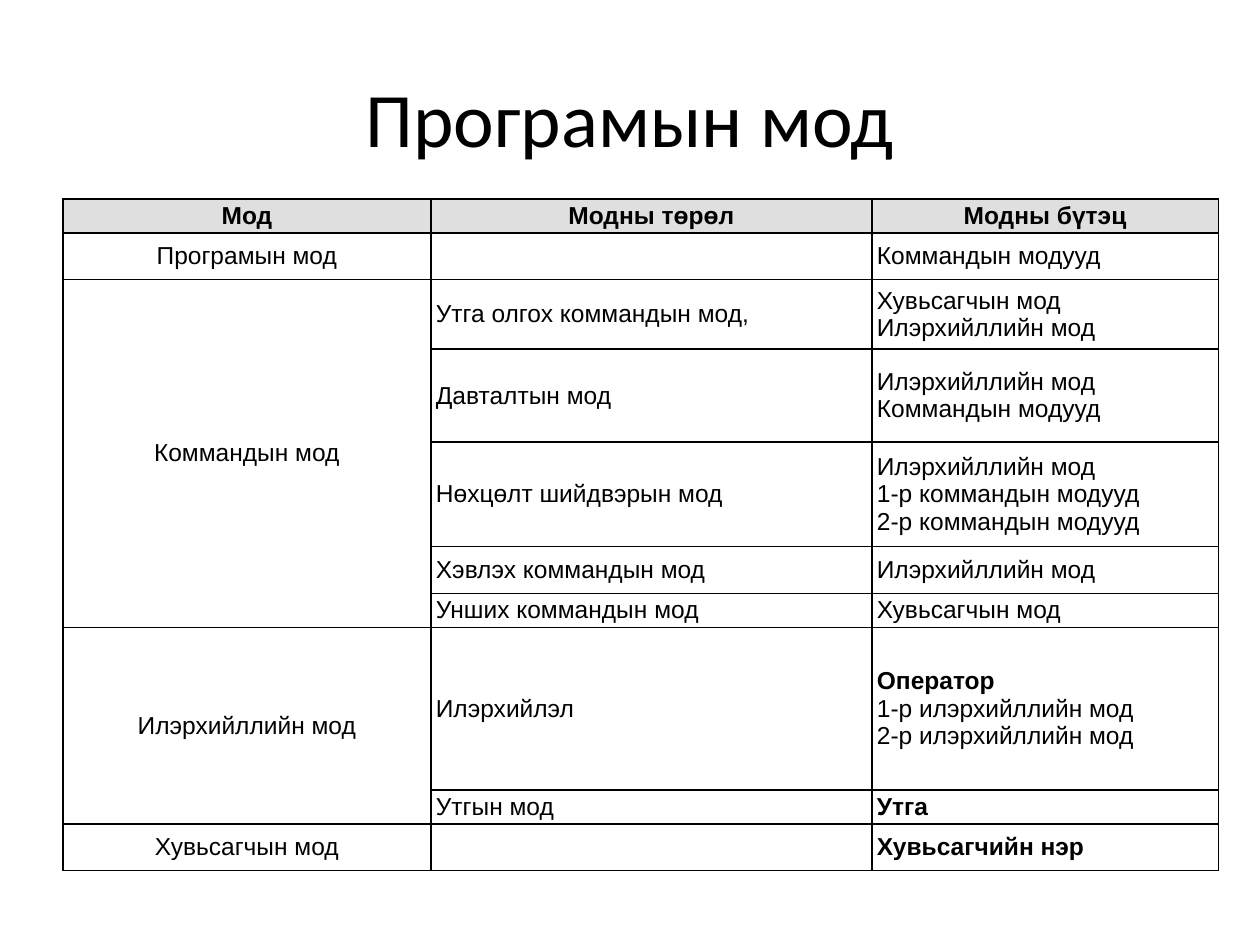
from lxml import etree
from pptx import Presentation
from pptx.dml.color import RGBColor
from pptx.enum import text
from pptx.oxml import ns
from pptx.util import Inches, Pt


def rgb(value):
    return RGBColor.from_string(value)


def add_border(cell, side):
    tc_pr = cell._tc.get_or_add_tcPr()
    ln = etree.SubElement(tc_pr, ns.qn(f"a:{side}"), w=str(Pt(1)))
    fill = etree.SubElement(ln, ns.qn("a:solidFill"))
    etree.SubElement(fill, ns.qn("a:srgbClr"), val="000000")


prs = Presentation()
prs.slide_width, prs.slide_height = Inches(10), Inches(7.5)
s = prs.slides.add_slide(prs.slide_layouts[6])

sp = s.shapes.add_textbox(Inches(0.5), Inches(0.3), Inches(9), Inches(1.25))
tf = sp.text_frame
tf.word_wrap = True
tf.vertical_anchor = text.MSO_ANCHOR.MIDDLE
tf.text = "Програмын мод"
p = tf.paragraphs[0]
p.alignment = text.PP_ALIGN.CENTER
r = p.runs[0]
r.font.name, r.font.size = "Calibri", Pt(44)
r.font.color.rgb = rgb("000000")

rows = [
    (0.27, "Мод", "Модны төрөл", "Модны бүтэц"),
    (0.37, "Програмын мод", "", "Коммандын модууд"),
    (0.55, "Коммандын мод", "Утга олгох коммандын мод,", "Хувьсагчын мод\nИлэрхийллийн мод"),
    (0.74, "", "Давталтын мод", "Илэрхийллийн мод\nКоммандын модууд"),
    (0.83, "", "Нөхцөлт шийдвэрын мод",
     "Илэрхийллийн мод\n1-р коммандын модууд\n2-р коммандын модууд"),
    (0.37, "", "Хэвлэх коммандын мод", "Илэрхийллийн мод"),
    (0.27, "", "Унших коммандын мод", "Хувьсагчын мод"),
    (1.29, "Илэрхийллийн мод", "Илэрхийлэл",
     "Оператор\n1-р илэрхийллийн мод\n2-р илэрхийллийн мод"),
    (0.27, "", "Утгын мод", "Утга"),
    (0.37, "Хувьсагчын мод", "", "Хувьсагчийн нэр"),
]
col_widths = [2.92, 3.5, 2.75]
bold_lines = {"Оператор", "Утга", "Хувьсагчийн нэр"}

table = s.shapes.add_table(
    len(rows), len(col_widths), Inches(0.5), Inches(1.58),
    Inches(sum(col_widths)), Inches(sum(row[0] for row in rows)),
).table
for col, width in zip(table.columns, col_widths):
    col.width = Inches(width)

for i, (height, *texts) in enumerate(rows):
    table.rows[i].height = Inches(height)
    for j, value in enumerate(texts):
        cell = table.cell(i, j)
        cell.margin_left = cell.margin_right = Inches(0.04)
        cell.margin_top = cell.margin_bottom = 0
        cell.vertical_anchor = text.MSO_ANCHOR.MIDDLE
        for side in ("lnL", "lnR", "lnT", "lnB"):
            add_border(cell, side)
        cell.fill.solid()
        cell.fill.fore_color.rgb = rgb("DFDFDF" if i == 0 else "FFFFFF")
        cell.text_frame.text = value
        for p in cell.text_frame.paragraphs:
            centred = i == 0 or j == 0
            p.alignment = text.PP_ALIGN.CENTER if centred else text.PP_ALIGN.LEFT
            for r in p.runs:
                r.font.name, r.font.size = "Arial", Pt(14)
                r.font.bold = i == 0 or r.text in bold_lines
                r.font.color.rgb = rgb("000000")

for first, last in ((2, 6), (7, 8)):
    table.cell(first, 0).merge(table.cell(last, 0))

prs.save("out.pptx")
